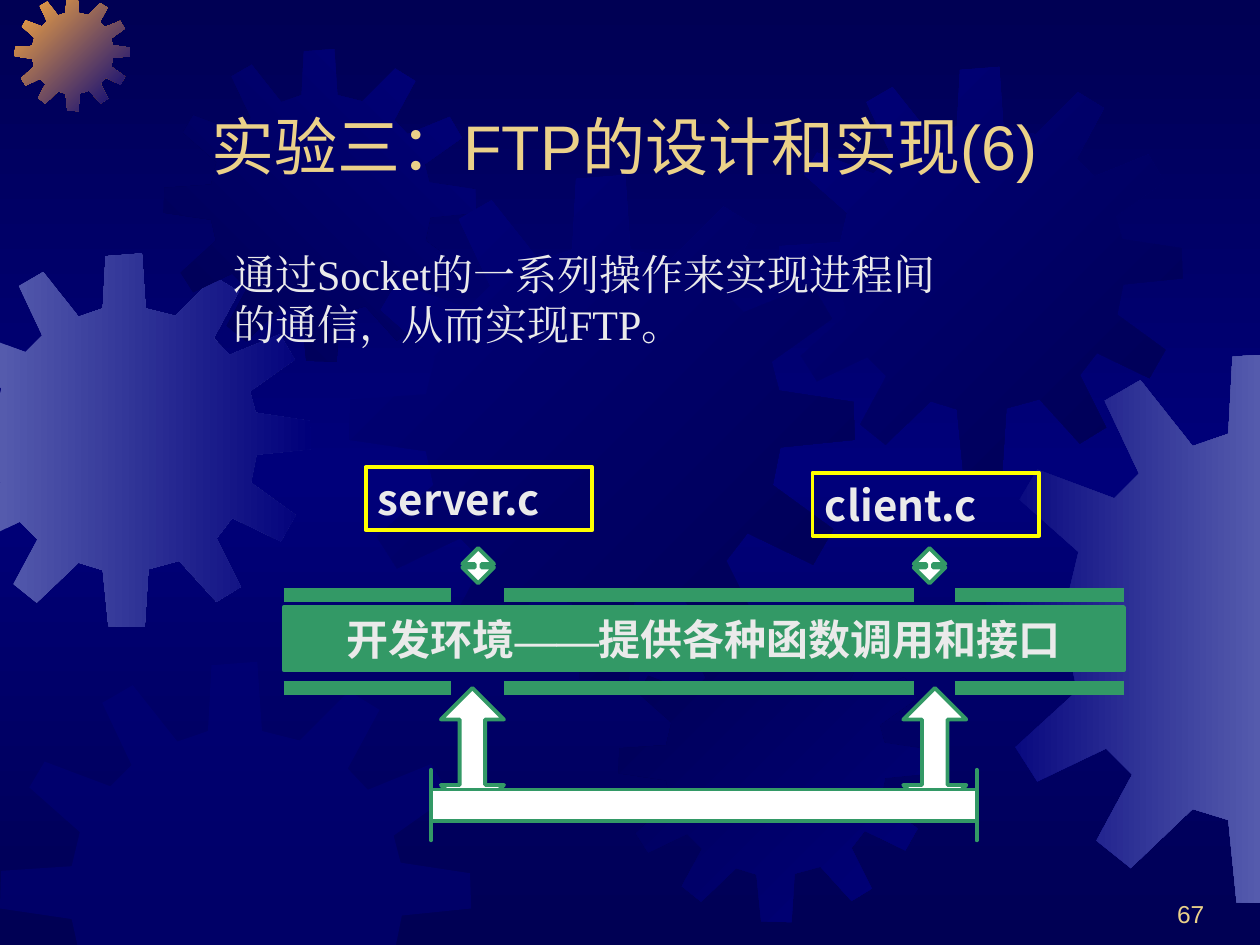
from copy import deepcopy
from typing import NamedTuple

from lxml.etree import SubElement
from pptx import Presentation
from pptx.dml.color import RGBColor
from pptx.enum.shapes import MSO_CONNECTOR, MSO_SHAPE
from pptx.enum.text import MSO_ANCHOR, MSO_AUTO_SIZE, PP_ALIGN
from pptx.oxml.ns import qn
from pptx.util import Cm, Pt

COLORS = {
    "navy": "000054", "blue": "00007A", "steel": "555BAD", "orange": "FCAB40",
    "gold": "EBD189", "text": "EAEAEA", "green": "339966", "yellow": "FFFF00",
    "white": "FFFFFF",
}
WIDTH, HEIGHT = 25.4, 19.05
SANS, SERIF, CJK = "Arial", "Times New Roman", "Noto Sans CJK SC"

# One gear outline, drawn in a square of GEAR_UNITS; every gear scales it
GEAR_UNITS = 401
GEAR_OUTLINE = [
    (255, 67), (223, 59), (219, 0), (180, 3), (177, 59), (151, 68),
    (113, 20), (87, 35), (112, 88), (94, 106), (38, 85), (25, 107),
    (68, 145), (61, 174), (1, 178), (0, 210), (61, 219), (67, 246),
    (22, 287), (38, 312), (88, 288), (107, 307), (81, 355), (106, 375),
    (151, 332), (177, 340), (183, 400), (222, 401), (226, 339), (259, 330),
    (299, 374), (325, 358), (299, 306), (316, 284), (368, 309), (384, 281),
    (336, 246), (342, 216), (401, 210), (400, 180), (341, 171), (335, 148),
    (383, 114), (367, 87), (313, 109), (296, 91), (323, 41), (297, 25),
]


class Gear(NamedTuple):
    left: float
    top: float
    size: float
    start: str
    end: str
    angle: int = 0  # clockwise degrees


class Frame(NamedTuple):
    left: float
    top: float
    width: float
    height: float

    def lengths(self) -> list:
        return [Cm(value) for value in self]


class Arrow(NamedTuple):
    kind: MSO_SHAPE
    frame: Frame
    shaft: float
    head: float


GEARS = [
    Gear(-1.25, 5.11, 7.53, "steel", "blue"),
    Gear(0.3, -0.08, 2.32, "orange", "blue", 45),
    Gear(3.3, 0.99, 6.3, "navy", "blue", 315),
    Gear(7.04, 3.53, 10.19, "blue", "navy", 45),
    Gear(0, 13.34, 9.5, "blue", "blue"),
    Gear(12.47, 12.29, 6.3, "navy", "blue", 45),
    Gear(15.7, 1.35, 8.14, "blue", "navy", 45),
    Gear(19.86, 7.11, 11.11, "blue", "steel"),
]
RAIL_SPANS = [(5.72, 9.09), (10.16, 18.42), (19.25, 22.66)]
UPPER_RAIL, LOWER_RAIL = 11.99, 13.87
BUS_ARROWS = [
    Arrow(MSO_SHAPE.UP_DOWN_ARROW, Frame(18.21, LOWER_RAIL, 1.27, 2.59), 0.5, 0.405),
    Arrow(MSO_SHAPE.UP_DOWN_ARROW, Frame(8.89, LOWER_RAIL, 1.27, 2.59), 0.5, 0.405),
    Arrow(MSO_SHAPE.LEFT_RIGHT_ARROW, Frame(8.69, 15.52, 11, 1.42), 0.442, 0),
]
FILE_ARROWS = [
    Arrow(MSO_SHAPE.UP_DOWN_ARROW, Frame(left, 11.05, 0.64, 0.71), 0.5, 0.221)
    for left in (9.32, 18.42)
]
FILES = {
    "server.c": Frame(7.37, 9.42, 4.57, 1.27),
    "client.c": Frame(16.38, 9.53, 4.57, 1.27),
}


def rgb(name: str) -> RGBColor:
    return RGBColor.from_string(COLORS[name])


def set_font(font, name: str, size: int, color: str, bold: bool = False) -> None:
    font.size, font.bold, font.name = Pt(size), bold, name
    font.color.rgb = rgb(color)
    SubElement(font._element, qn("a:ea")).set("typeface", name)


def set_gradient(fill, start: str, end: str, angle: int) -> None:
    fill.gradient()
    fill.gradient_angle = (360 - angle) % 360
    for stop, color, position in zip(fill.gradient_stops, (start, end), (0, 1)):
        stop.color.rgb = rgb(color)
        stop.position = position


def clip(points: list, axis: int, limit: float, sign: int) -> list:
    """Keep the part of a polygon where sign * (coordinate - limit) >= 0."""
    kept = []
    for before, point in zip(points[-1:] + points[:-1], points):
        old, new = (sign * (p[axis] - limit) for p in (before, point))
        if (old >= 0) != (new >= 0):
            share = old / (old - new)
            kept.append(tuple(a + share * (b - a) for a, b in zip(before, point)))
        if new >= 0:
            kept.append(point)
    return kept


def draw_gear(page, gear: Gear) -> None:
    scale = gear.size / GEAR_UNITS
    points = [(gear.left + x * scale, gear.top + y * scale) for x, y in GEAR_OUTLINE]
    for axis, limit, sign in ((0, 0, 1), (0, WIDTH, -1), (1, 0, 1), (1, HEIGHT, -1)):
        points = clip(points, axis, limit, sign)
    corners = [(Cm(x), Cm(y)) for x, y in points]
    builder = page.shapes.build_freeform(*corners[0])
    builder.add_line_segments(corners[1:])
    shape = builder.convert_to_shape()
    shape.shadow.inherit = False
    shape.line.fill.background()
    if gear.start != gear.end:
        set_gradient(shape.fill, gear.start, gear.end, gear.angle)
        return
    # A gear of one colour is half transparent
    shape.fill.solid()
    shape.fill.fore_color.rgb = rgb(gear.start)
    tint = shape._element.spPr.find(".//" + qn("a:srgbClr"))
    SubElement(tint, qn("a:alpha")).set("val", "50000")


def draw_shape(page, kind: MSO_SHAPE, frame: Frame, fill: str, line: str):
    shape = page.shapes.add_shape(kind, *frame.lengths())
    shape.shadow.inherit = False
    if fill:
        shape.fill.solid()
        shape.fill.fore_color.rgb = rgb(fill)
    else:
        shape.fill.background()
    shape.line.color.rgb = rgb(line)
    shape.line.width = Pt(2.25)
    return shape


def draw_arrow(page, arrow: Arrow) -> None:
    shape = draw_shape(page, arrow.kind, arrow.frame, "white", "green")
    shape.adjustments[0], shape.adjustments[1] = arrow.shaft, arrow.head


def draw_rail(page, y: float) -> None:
    for start, end in RAIL_SPANS:
        rail = page.shapes.add_connector(
            MSO_CONNECTOR.STRAIGHT, Cm(start), Cm(y), Cm(end), Cm(y))
        rail.line.color.rgb = rgb("green")
        rail.line.width = Pt(8)
        SubElement(rail._element.spPr, qn("a:effectLst"))


def add_text(page, frame: Frame, lines: list, name: str, size: int, color: str):
    box = page.shapes.add_textbox(*frame.lengths())
    box.text_frame.word_wrap = True
    box.text_frame.text = "\n".join(lines)
    for para in box.text_frame.paragraphs:
        set_font(para.font, name, size, color)
    return box


def main() -> None:
    deck = Presentation()
    deck.slide_width, deck.slide_height = Cm(WIDTH), Cm(HEIGHT)
    page = deck.slides.add_slide(deck.slide_layouts[5])

    # Background: navy at both ends, blue in the middle
    set_gradient(page.background.fill, "navy", "blue", 90)
    stops = page._element.find(".//" + qn("a:gsLst"))
    stops.append(deepcopy(stops[0]))
    stops[1].set("pos", "50000")
    stops[2].set("pos", "100000")
    for gear in GEARS:
        draw_gear(page, gear)

    # Page number
    number = add_text(page, Frame(19.25, 17.58, 5.28, 1.27), ["67"], SANS, 14, "gold")
    number.text_frame.vertical_anchor = MSO_ANCHOR.BOTTOM
    number.text_frame.paragraphs[0].alignment = PP_ALIGN.RIGHT

    # Title, brought in front of the gears
    title = page.shapes.title
    title.left, title.top, title.width, title.height = Frame(4.01, 0.64, 20.96, 3.18).lengths()
    title.text_frame.text = "实验三：FTP的设计和实现(6)"
    title.text_frame.auto_size = MSO_AUTO_SIZE.NONE
    title.text_frame.vertical_anchor = MSO_ANCHOR.BOTTOM
    para = title.text_frame.paragraphs[0]
    para.alignment = PP_ALIGN.LEFT
    set_font(para.font, SANS, 36, "gold")
    page.shapes._spTree.append(title._element)

    # Diagram: bus, files and environment
    draw_rail(page, LOWER_RAIL)
    for arrow in BUS_ARROWS:
        draw_arrow(page, arrow)
    for label, frame in FILES.items():
        box = draw_shape(page, MSO_SHAPE.RECTANGLE, frame, "", "yellow")
        box.text_frame.word_wrap = False
        box.text_frame.text = label
        set_font(box.text_frame.paragraphs[0].font, CJK, 24, "text", True)
    bar = draw_shape(page, MSO_SHAPE.RECTANGLE, Frame(5.72, 12.24, 16.94, 1.27), "green", "green")
    para = bar.text_frame.paragraphs[0]
    for words, name in (("开发环境", CJK), ("——", SERIF), ("提供各种函数调用和接口", CJK)):
        span = para.add_run()
        span.text = words
        set_font(span.font, name, 24, "text", True)
    draw_rail(page, UPPER_RAIL)
    for arrow in FILE_ARROWS:
        draw_arrow(page, arrow)

    # Explanation
    add_text(page, Frame(4.45, 4.88, 19.89, 3.81),
             ["通过Socket的一系列操作来实现进程间", "的通信，从而实现FTP。"], SERIF, 24, "text")
    deck.save("out.pptx")


if __name__ == "__main__":
    main()
